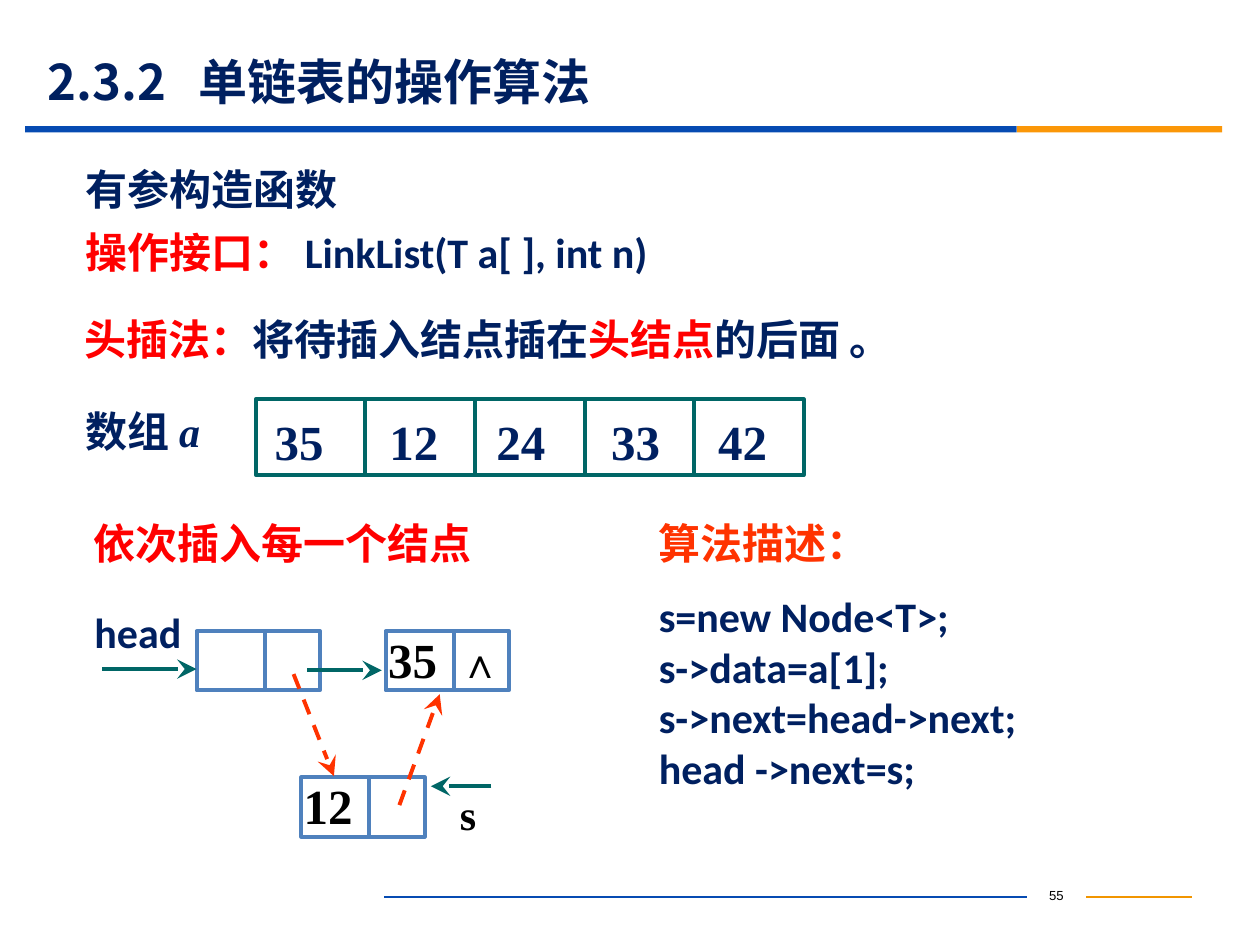
import pptx
import pptx.util
import pptx.dml.color
import pptx.enum.dml
import pptx.enum.shapes
import pptx.enum.text
import pptx.oxml
import pptx.oxml.ns
from lxml import etree

Inches = pptx.util.Inches
Pt = pptx.util.Pt
qn = pptx.oxml.ns.qn

COLORS = {
    "navy": "002060", "red": "FF0000", "orange_red": "FF3300",
    "teal": "006666", "node": "4F81BD", "black": "000000",
    "blue": "064BB2", "orange": "FB9708", "amber": "F19500",
}
SANS = "Noto Sans CJK SC"
SERIF = "Times New Roman"
CODE = "Calibri"
PADDING = (0.1, 0.05, 0.1, 0.05)
MIDDLE = pptx.enum.text.MSO_ANCHOR.MIDDLE
CENTER = pptx.enum.text.PP_ALIGN.CENTER


def apply(target, values):
    for name, value in values.items():
        setattr(target, name, value)


def color(name):
    return pptx.dml.color.RGBColor.from_string(COLORS[name])


class SlideBuilder:
    def __init__(self, slide):
        self.slide = slide
        self.font = {"name": SERIF, "size": 24, "bold": True, "color": "navy"}

    def fill_text(self, shape, paragraphs, insets=PADDING, anchor=None, tab=None, **formats):
        frame = shape.text_frame
        sides = ("margin_left", "margin_top", "margin_right", "margin_bottom")
        apply(frame, {side: Inches(inset) for side, inset in zip(sides, insets)})
        apply(frame, {"word_wrap": True,
                      "vertical_anchor": anchor or pptx.enum.text.MSO_ANCHOR.TOP})
        for index, runs in enumerate(paragraphs):
            paragraph = frame.add_paragraph() if index else frame.paragraphs[0]
            apply(paragraph, {"alignment": pptx.enum.text.PP_ALIGN.LEFT, **formats})
            if index == 1:
                paragraph.space_before = Pt(13)
            if tab:
                tabs = etree.SubElement(paragraph._p.get_or_add_pPr(), qn("a:tabLst"))
                etree.SubElement(tabs, qn("a:tab"), pos=str(Inches(tab)), algn="l")
            for text, changes in runs:
                self.add_run(paragraph, text, changes)

    def add_run(self, paragraph, text, changes):
        style = {**self.font, **changes}
        run = paragraph.add_run()
        run.text = text
        run.font.color.rgb = color(style.pop("color"))
        style["size"] = Pt(style["size"])
        apply(run.font, style)
        etree.SubElement(run._r.get_or_add_rPr(), qn("a:ea"), typeface=SANS)

    def text(self, box, *paragraphs, **options):
        shape = self.slide.shapes.add_textbox(*map(Inches, box))
        self.fill_text(shape, paragraphs, **options)

    def rectangle(self, box, fill=None, line=None):
        shape = self.slide.shapes.add_shape(
            pptx.enum.shapes.MSO_SHAPE.RECTANGLE, *map(Inches, box))
        shape.shadow.inherit = False
        if fill:
            shape.fill.solid()
            shape.fill.fore_color.rgb = color(fill)
        else:
            shape.fill.background()
        if line:
            shape.line.color.rgb = color(line)
            shape.line.width = Pt(2.25)
        else:
            shape.line.fill.background()
        return shape

    def line(self, start, end, line, width=2.25, arrow=False, dashed=False):
        connector = self.slide.shapes.add_connector(
            pptx.enum.shapes.MSO_CONNECTOR.STRAIGHT, *map(Inches, start + end))
        connector.line.color.rgb = color(line)
        connector.line.width = Pt(width)
        if dashed:
            connector.line.dash_style = pptx.enum.dml.MSO_LINE.DASH
        if arrow:
            etree.SubElement(connector.line._get_or_add_ln(), qn("a:tailEnd"),
                             type="stealth", w="lg", len="lg")
        etree.SubElement(connector._element.spPr, qn("a:effectLst"))

    def node(self, left, top, value=None):
        shape = self.rectangle((left, top, 0.98, 0.47), line="node")
        if value:
            self.fill_text(shape, [[(value, {"size": 28, "color": "black"})]],
                           insets=(0.02, 0.04, 0, 0), line_spacing=0.9)
        self.line((left + 0.54, top), (left + 0.54, top + 0.47), "node")


def main():
    presentation = pptx.Presentation()
    apply(presentation, {"slide_width": Inches(10), "slide_height": Inches(7.5)})
    builder = SlideBuilder(presentation.slides.add_slide(presentation.slide_layouts[6]))
    sans, code = {"name": SANS}, {"name": CODE}
    red, black = {"color": "red"}, {"color": "black"}
    flush = (0, 0.05, 0, 0.05)
    bare = (0, 0, 0, 0)

    builder.text((8.15, 6.99, 0.47, 0.25),
                 [("55", {"name": "Arial", "size": 7.5, "bold": False, **black})],
                 alignment=CENTER)
    builder.line((8.62, 7.12), (9.46, 7.12), "amber", width=0.75)
    builder.line((3.05, 7.12), (8.15, 7.12), "blue", width=0.75)
    builder.rectangle((0.2, 1, 7.87, 0.05), fill="blue")
    builder.rectangle((8.07, 1, 1.63, 0.05), fill="orange")

    builder.text((0.28, 0.43, 9, 0.43), [("2.3.2\t单链表的操作算法", {**sans, "size": 28})],
                 anchor=MIDDLE, tab=1.2)
    builder.text((0.58, 1.18, 6.48, 0.64), [("有参构造函数", sans)], anchor=MIDDLE)
    builder.text((0.68, 1.79, 6.9, 0.52),
                 [("操作接口", red), ("：\t", {**red, "name": "Courier New"}),
                  ("LinkList(T a[ ], int n)", code)],
                 insets=flush, tab=1.74, line_spacing=0.9)
    builder.text((0.67, 2.44, 7.97, 0.5),
                 [("头插法：", red), ("将待插入结点插在", {}), ("头结点", red),
                  ("的后面", {}), (" 。", sans)], insets=flush)

    builder.text((0.58, 3.17, 1.58, 0.51), [("数组 ", sans), ("a", {"italic": True})])
    values = [("35", 2.18), ("12", 3.09), ("24", 3.94), ("33", 4.85), ("42", 5.7)]
    for index, (value, left) in enumerate(values):
        builder.rectangle((2.03 + 0.87 * index, 3.17, 0.87, 0.6), line="teal")
        builder.text((left, 3.27, 0.52, 0.47), [(value, {"size": 28})], insets=bare)

    statements = ("s=new Node<T>;", "s->data=a[1];", "s->next=head->next;", "head ->next=s;")
    builder.text((5.13, 4.06, 4.31, 2.32), [("算法描述：", {"color": "orange_red"})],
                 *[[(statement, code)] for statement in statements])
    builder.text((0.64, 4.06, 3.92, 0.5), [("依次插入每一个结点", red)])

    builder.node(1.56, 5.01)
    builder.node(3.06, 5.01, "35")
    builder.node(2.39, 6.17, "12")
    builder.text((0.75, 4.81, 0.83, 0.51), [("head", code)], insets=(0, 0, 0, 0.04))
    builder.text((3.55, 5, 0.49, 0.5), [("∧", black)], alignment=CENTER)
    builder.text((3.65, 6.26, 0.27, 0.4), [("s", black)], insets=bare)
    for start, end in (((0.81, 5.31), (1.56, 5.31)), ((2.44, 5.32), (3.03, 5.32)),
                       ((3.9, 6.24), (3.42, 6.24))):
        builder.line(start, end, "teal", arrow=True)
    for start, end in (((2.33, 5.35), (2.65, 6.16)), ((3.17, 6.39), (3.49, 5.51))):
        builder.line(start, end, "orange_red", arrow=True, dashed=True)

    presentation.save("out.pptx")


if __name__ == "__main__":
    main()
